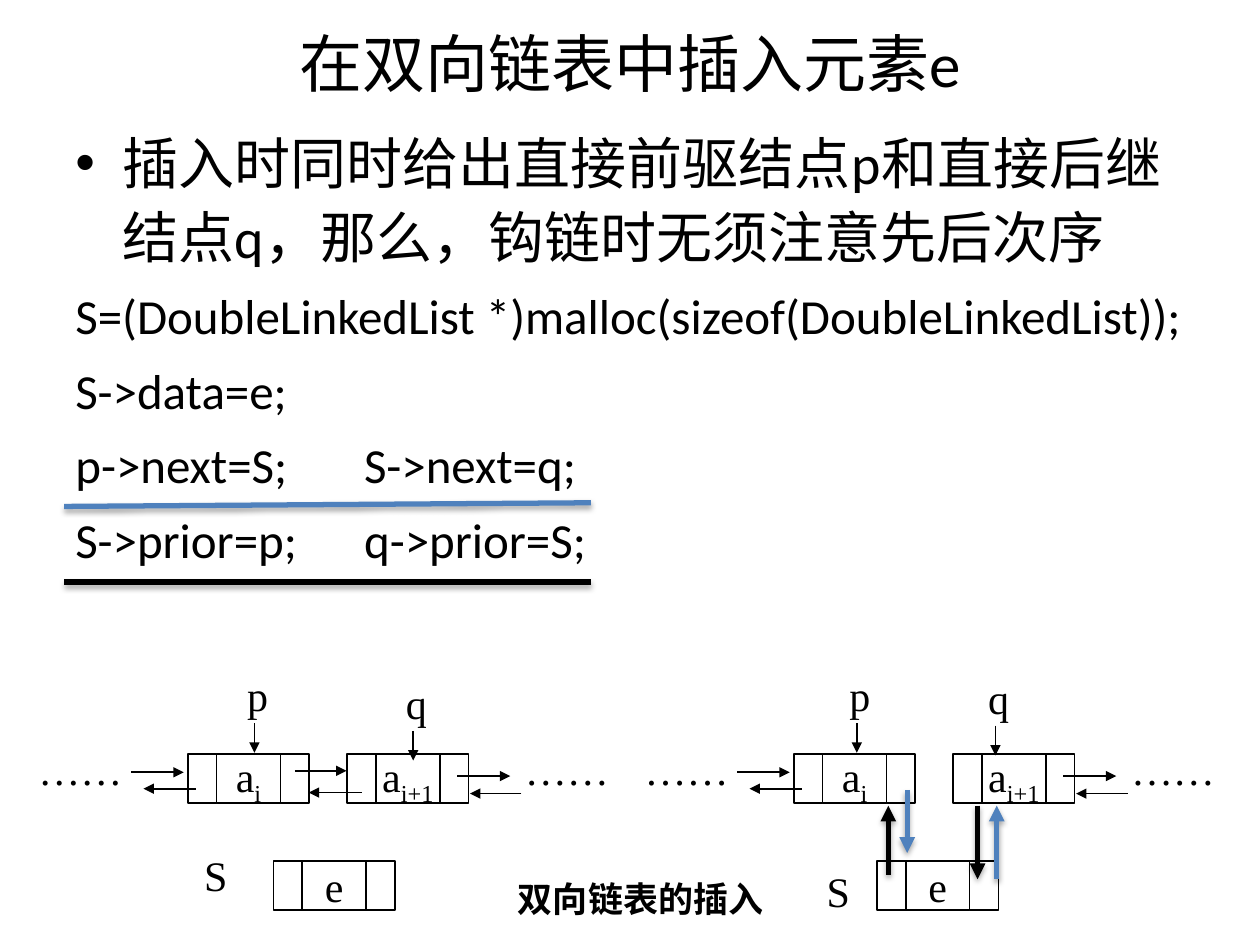
from lxml.etree import SubElement
from pptx import Presentation
from pptx.dml.color import RGBColor
from pptx.enum.shapes import MSO_CONNECTOR, MSO_SHAPE
from pptx.enum.text import MSO_ANCHOR, PP_ALIGN
from pptx.oxml.ns import qn
from pptx.util import Pt

BLACK = RGBColor(0x00, 0x00, 0x00)
BLUE = RGBColor(0x4F, 0x81, 0xBD)
BODY_FONT = "Calibri"
DIAGRAM_FONT = "Times New Roman"
CAPTION_FONT = "Noto Sans CJK SC"

CODE_LINES = [
    "S=(DoubleLinkedList *)malloc(sizeof(DoubleLinkedList));",
    "S->data=e;",
    "p->next=S;\tS->next=q;",
    "S->prior=p;\tq->prior=S;",
]
CELL_HEIGHT = 28
LINK_WIDTH = 16.5
DATA_WIDTH = 36.5


def set_font(paragraph, name, size, bold=False):
    """Give a paragraph its black font."""
    paragraph.font.name = name
    paragraph.font.size = Pt(size)
    paragraph.font.bold = bold
    paragraph.font.color.rgb = BLACK


def fill_label(shape, text, subscript="", font=DIAGRAM_FONT, size=24, bold=False, wrap=False):
    """Write one centred line, with an optional subscript, into a shape."""
    frame = shape.text_frame
    frame.margin_left = frame.margin_right = frame.margin_top = frame.margin_bottom = 0
    frame.word_wrap = wrap
    frame.vertical_anchor = MSO_ANCHOR.MIDDLE
    paragraph = frame.paragraphs[0]
    paragraph.alignment = PP_ALIGN.CENTER
    set_font(paragraph, font, size, bold)
    paragraph.add_run().text = text
    if subscript:
        run = paragraph.add_run()
        run.text = subscript
        run._r.get_or_add_rPr().set("baseline", "-25000")


def add_label(slide, left, top, width, height, text, **style):
    """Place a centred text box."""
    box = slide.shapes.add_textbox(Pt(left), Pt(top), Pt(width), Pt(height))
    fill_label(box, text, **style)


def add_line(slide, start, end, color=BLACK, width=1, arrow=True, shadow=False):
    """Draw a straight line, with an arrowhead or a soft shadow if asked."""
    line = slide.shapes.add_connector(
        MSO_CONNECTOR.STRAIGHT, *(Pt(value) for value in (*start, *end))
    )
    line.line.color.rgb = color
    line.line.width = Pt(width)
    if arrow:
        SubElement(line.line._get_or_add_ln(), qn("a:tailEnd"), type="triangle")
    effects = SubElement(line._element.spPr, qn("a:effectLst"))
    if shadow:
        outer = SubElement(
            effects, qn("a:outerShdw"),
            blurRad=str(Pt(3.1)), dist=str(Pt(1.8)), dir="5400000", rotWithShape="0",
        )
        shade = SubElement(outer, qn("a:srgbClr"), val=str(BLACK))
        SubElement(shade, qn("a:alpha"), val="35000")


def add_cell(slide, left, top, width):
    """Draw one outlined cell of a node."""
    cell = slide.shapes.add_shape(
        MSO_SHAPE.RECTANGLE, Pt(left), Pt(top), Pt(width), Pt(CELL_HEIGHT)
    )
    cell.shadow.inherit = False
    cell.fill.background()
    cell.line.color.rgb = BLACK
    cell.line.width = Pt(1)
    return cell


def add_node(slide, left, top, text, subscript=""):
    """Draw a list node: prior link, data and next link."""
    add_cell(slide, left, top, LINK_WIDTH)
    data = add_cell(slide, left + LINK_WIDTH, top, DATA_WIDTH)
    fill_label(data, text, subscript)
    add_cell(slide, left + LINK_WIDTH + DATA_WIDTH, top, LINK_WIDTH)


def add_pointer(slide, left, top, name):
    """Draw a pointer name with a short arrow below it."""
    add_label(slide, left, top, 28, 28, name)
    add_line(slide, (left + 12.2, top + 30.2), (left + 12.2, top + 47.2))


def add_chain(slide, left, top, linked):
    """Draw the neighbouring nodes with their outer links, joined if linked."""
    for offset in (0, 278):
        add_label(slide, left + offset, top, 56, 28, "……")
    links = [(57, 87, 15.8), (94, 64, 25.2), (243.4, 273.6, 18), (280, 250.6, 28)]
    if linked:
        links += [(150.5, 180, 15), (188.6, 158.4, 27.4)]
    for start, end, offset in links:
        add_line(slide, (left + start, top + offset), (left + end, top + offset))
    add_node(slide, left + 89.3, top + 5.6, "a", "i")
    add_node(slide, left + 180.3, top + 5.6, "a", "i+1")


def add_new_links(slide, left, top):
    """Draw the four thick links between the chain and the new node."""
    for offset, start, end, color in (
        (0, 48.5, 9, BLACK),
        (10.8, 0, 36, BLUE),
        (51, 9, 51, BLACK),
        (62, 51, 9, BLUE),
    ):
        x = left + offset
        add_line(slide, (x, top + start), (x, top + end), color, 3, shadow=True)


def add_body(slide, left, top, width, height):
    """Place the bulleted statement and the code lines."""
    frame = slide.shapes.add_textbox(Pt(left), Pt(top), Pt(width), Pt(height)).text_frame
    frame.word_wrap = True
    statement = frame.paragraphs[0]
    statement.text = "插入时同时给出直接前驱结点p和直接后继结点q，那么，钩链时无须注意先后次序"
    statement.line_spacing = 1.1
    properties = statement._p.get_or_add_pPr()
    properties.set("marL", str(Pt(27)))
    properties.set("indent", str(Pt(-27)))
    SubElement(properties, qn("a:buFont"), typeface="Arial")
    SubElement(properties, qn("a:buChar"), char="•")
    set_font(statement, BODY_FONT, 32)
    for code in CODE_LINES:
        paragraph = frame.add_paragraph()
        paragraph.text = code
        paragraph.line_spacing = 1.1
        paragraph.space_before = Pt(5.6)
        if "\t" in code:
            tabs = SubElement(paragraph._p.get_or_add_pPr(), qn("a:tabLst"))
            SubElement(tabs, qn("a:tab"), pos=str(Pt(165)), algn="l")
        set_font(paragraph, BODY_FONT, 28)


def add_diagram(slide, left, top):
    """Place the lists before and after the insertion, with their caption."""
    add_chain(slide, left, top + 42.5, linked=True)
    add_chain(slide, left + 346.3, top + 42.5, linked=False)
    for x, y, name in (
        (115.2, 0, "p"), (205.9, 4.4, "q"), (459.4, 0, "p"), (538.6, 1.5, "q")
    ):
        add_pointer(slide, left + x, top + y, name)
    for label_x, label_y, node_x in ((91.4, 106, 138.3), (447.1, 115.2, 483.1)):
        add_label(slide, left + label_x, top + label_y, 28, 22, "S")
        add_node(slide, left + node_x, top + 109, "e")
    add_new_links(slide, left + 489.6, top + 68.4)
    add_label(slide, left + 234.7, top + 119.5, 226.8, 22.3, "双向链表的插入",
              font=CAPTION_FONT, size=20, bold=True, wrap=True)


def main():
    """Build and save the slide."""
    presentation = Presentation()
    presentation.slide_width = Pt(720)
    presentation.slide_height = Pt(540)
    slide = presentation.slides.add_slide(presentation.slide_layouts[6])
    add_label(slide, 36, 4.3, 648, 62, "在双向链表中插入元素e",
              font=BODY_FONT, size=36, wrap=True)
    add_body(slide, 36, 66.2, 648, 332)
    add_diagram(slide, 18, 383)
    add_line(slide, (36.7, 289.4), (337.7, 287.3), BLUE, 3, arrow=False, shadow=True)
    add_line(slide, (36.7, 332.6), (337.7, 332.6), BLACK, 3, arrow=False, shadow=True)
    presentation.save("out.pptx")


if __name__ == "__main__":
    main()
